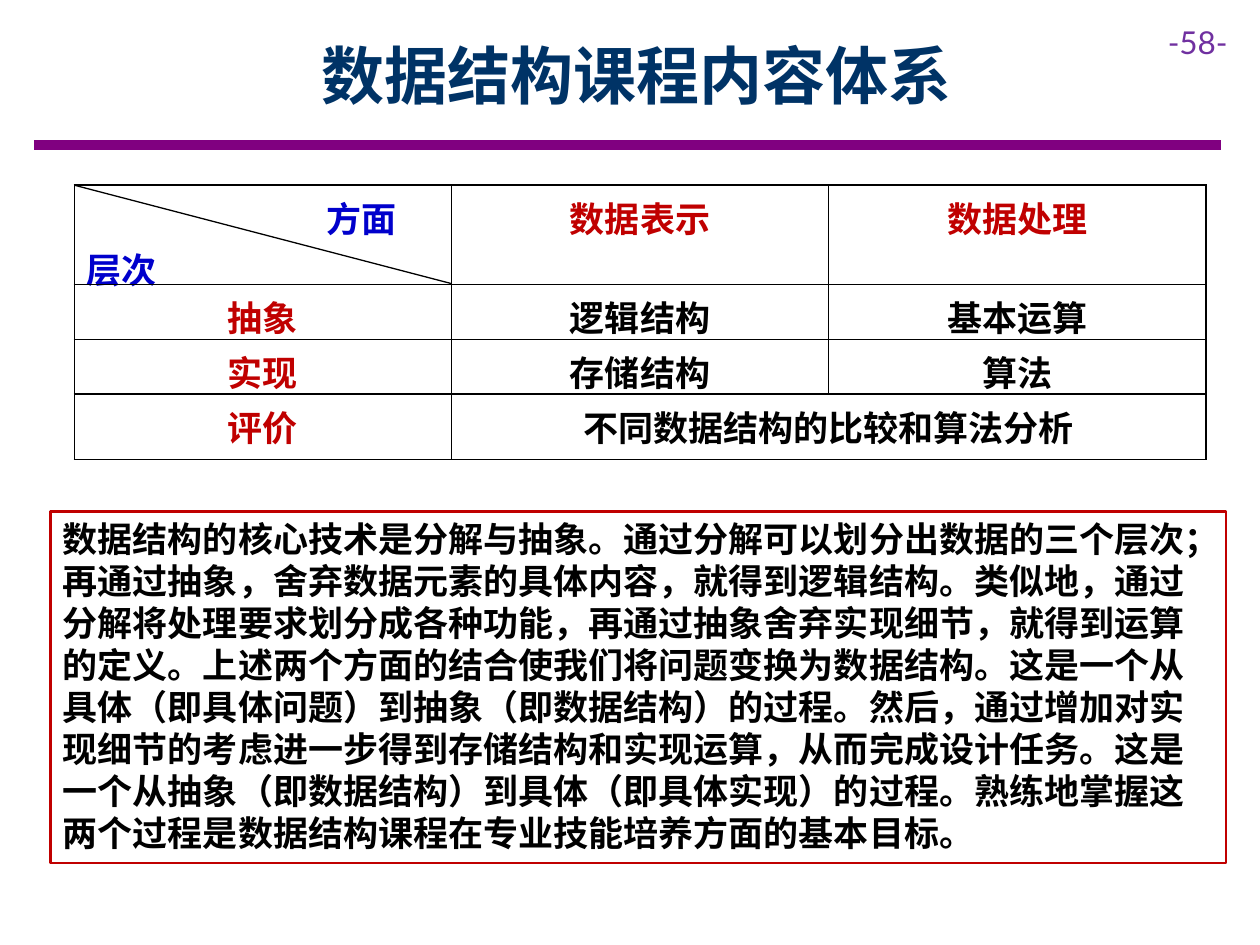
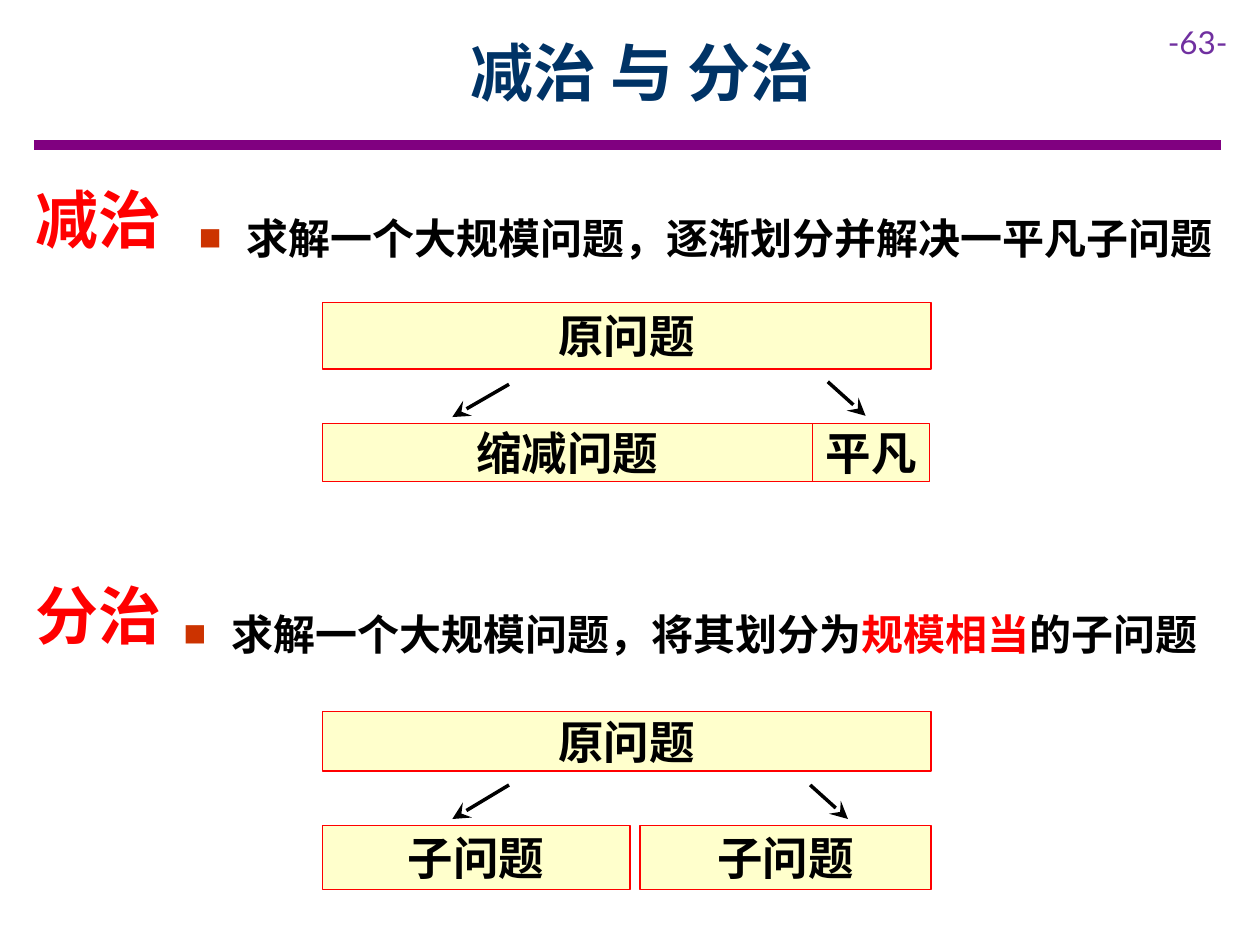
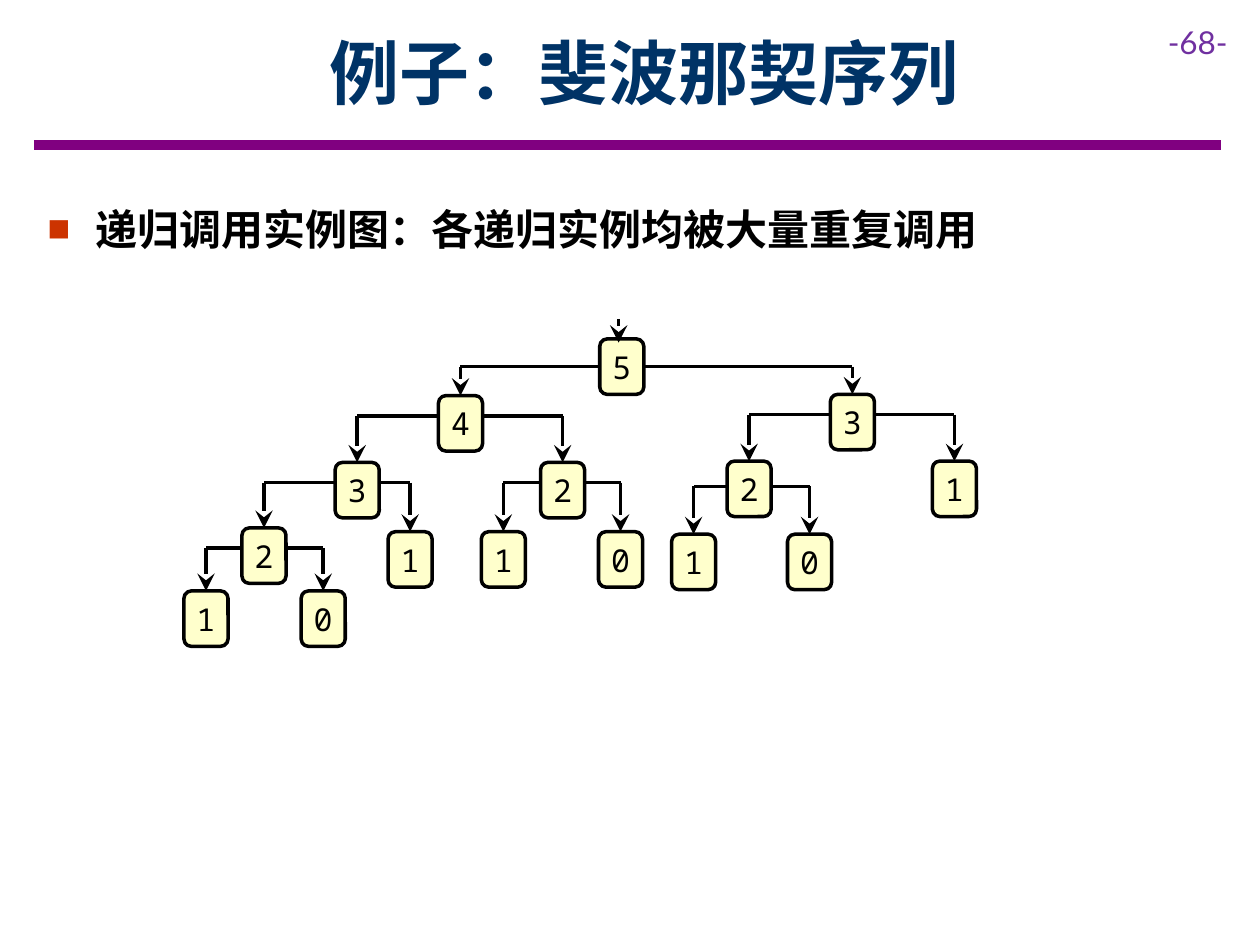
from dataclasses import dataclass, replace
from typing import Optional

from lxml.etree import SubElement
from pptx import Presentation
from pptx.dml.color import RGBColor
from pptx.enum.shapes import MSO_CONNECTOR, MSO_SHAPE
from pptx.enum.text import MSO_ANCHOR, PP_ALIGN
from pptx.oxml.ns import qn
from pptx.oxml.xmlchemy import OxmlElement
from pptx.util import Inches, Pt

BLACK = RGBColor(0x00, 0x00, 0x00)
WHITE = RGBColor(0xFF, 0xFF, 0xFF)
NAVY = RGBColor(0x00, 0x33, 0x66)
BLUE = RGBColor(0x00, 0x00, 0xCC)
PURPLE = RGBColor(0x80, 0x00, 0x80)
VIOLET = RGBColor(0x70, 0x30, 0xA0)
RED = RGBColor(0xFF, 0x00, 0x00)
DARK_RED = RGBColor(0xC0, 0x00, 0x00)
ORANGE = RGBColor(0xCC, 0x33, 0x00)
CREAM = RGBColor(0xFF, 0xFF, 0xCC)

CHINESE, LATIN, MONO = "Noto Sans CJK SC", "Lato", "Noto Sans Mono"
BULLET_INDENT = 0.38
NODE_WIDTH, NODE_HEIGHT = 0.35, 0.44


@dataclass(frozen=True)
class Style:
    """Look of one paragraph."""
    size: int
    color: RGBColor = BLACK
    font: str = CHINESE
    bold: bool = True
    align: PP_ALIGN = PP_ALIGN.LEFT
    indent: float = 0
    bullet: bool = False
    spacing: Optional[float] = None


@dataclass(frozen=True)
class Span:
    """Piece of a paragraph with its own colour."""
    text: str
    color: RGBColor


@dataclass(frozen=True)
class Area:
    """Rectangle on a page, in inches."""
    left: float
    top: float
    width: float
    height: float

    def lengths(self) -> tuple:
        """Return the rectangle as lengths."""
        return tuple(map(Inches, (self.left, self.top, self.width, self.height)))


@dataclass(frozen=True)
class Block:
    """Labelled problem rectangle."""
    label: str
    area: Area


@dataclass(frozen=True)
class Arrow:
    """Straight arrow between two points."""
    start: tuple[float, float]
    end: tuple[float, float]


@dataclass(frozen=True)
class Strategy:
    """One way of splitting a problem, with its diagram."""
    name: str
    name_area: Area
    spans: tuple
    bullet_area: Area
    blocks: tuple[Block, ...]
    arrows: tuple[Arrow, ...]


@dataclass(frozen=True)
class Node:
    """Recursive call and the calls it makes."""
    label: str
    left: float
    top: float
    children: tuple["Node", ...] = ()
    drop: float = 0.16


PAGE_NUMBER = Style(18, VIOLET, LATIN, bold=False)
TITLE = Style(36, NAVY, align=PP_ALIGN.CENTER)
BODY = Style(20)
CELL = Style(20, align=PP_ALIGN.CENTER)
NAME = Style(36, RED)
BULLET = Style(24, bullet=True, spacing=1.1)
PROBLEM = Style(26, align=PP_ALIGN.CENTER)
CALL = Style(18, font=MONO, bold=False, align=PP_ALIGN.CENTER)

LEVELS = (
    ("抽象", "逻辑结构", "基本运算"),
    ("实现", "存储结构", "算法"),
    ("评价", "不同数据结构的比较和算法分析"),
)
SUMMARY = (
    "数据结构的核心技术是分解与抽象。通过分解可以划分出数据的三个层次；"
    "再通过抽象，舍弃数据元素的具体内容，就得到逻辑结构。类似地，通过"
    "分解将处理要求划分成各种功能，再通过抽象舍弃实现细节，就得到运算"
    "的定义。上述两个方面的结合使我们将问题变换为数据结构。这是一个从"
    "具体（即具体问题）到抽象（即数据结构）的过程。然后，通过增加对实"
    "现细节的考虑进一步得到存储结构和实现运算，从而完成设计任务。这是"
    "一个从抽象（即数据结构）到具体（即具体实现）的过程。熟练地掌握这"
    "两个过程是数据结构课程在专业技能培养方面的基本目标。"
)
STRATEGIES = (
    Strategy(
        "减治", Area(0.18, 1.38, 1.3, 0.71),
        (Span("求解一个大规模问题，逐渐划分并解决一平凡子问题", BLACK),),
        Area(1.48, 1.6, 8.26, 0.55),
        (Block("原问题", Area(2.56, 2.4, 4.83, 0.53)),
         Block("缩减问题", Area(2.56, 3.36, 3.89, 0.46)),
         Block("平凡", Area(6.45, 3.36, 0.93, 0.46))),
        (Arrow((6.57, 3.03), (6.87, 3.3)), Arrow((4.04, 3.05), (3.59, 3.31))),
    ),
    Strategy(
        "分治", Area(0.18, 4.53, 1.52, 0.71),
        (Span("求解一个大规模问题，将其划分为", BLACK), Span("规模相当", RED),
         Span("的子问题", BLACK)),
        Area(1.36, 4.74, 8.5, 0.51),
        (Block("原问题", Area(2.56, 5.65, 4.83, 0.47)),
         Block("子问题", Area(2.56, 6.55, 2.44, 0.51)),
         Block("子问题", Area(5.08, 6.55, 2.31, 0.51))),
        (Arrow((6.43, 6.23), (6.73, 6.5)), Arrow((4.04, 6.23), (3.59, 6.5))),
    ),
)
FIBONACCI_CALLS = Node("5", 4.76, 2.69, (
    Node("4", 3.48, 3.14, (
        Node("3", 2.66, 3.67, (
            Node("2", 1.92, 4.19, (Node("1", 1.46, 4.69), Node("0", 2.39, 4.69))),
            Node("1", 3.08, 4.22))),
        Node("2", 4.29, 3.67, (Node("1", 3.82, 4.22), Node("0", 4.75, 4.22))))),
    Node("3", 6.59, 3.13, (
        Node("2", 5.77, 3.66, (Node("1", 5.33, 4.24), Node("0", 6.25, 4.24)), 0.2),
        Node("1", 7.4, 3.66))),
), 0.22)


def write_paragraph(para, content, style: Style) -> None:
    """Fill a paragraph with a string or with spans."""
    properties = para._p.get_or_add_pPr()
    if style.bullet:
        properties.set("marL", str(Inches(BULLET_INDENT)))
        properties.set("indent", str(-Inches(BULLET_INDENT)))
        color = SubElement(properties, qn("a:buClr"))
        SubElement(color, qn("a:srgbClr"), val=str(ORANGE))
        SubElement(properties, qn("a:buSzPct"), val="90000")
        SubElement(properties, qn("a:buFont"), typeface=MONO)
        SubElement(properties, qn("a:buChar"), char="■")
    elif style.indent:
        properties.set("marL", str(Inches(style.indent)))
    para.alignment = style.align
    if style.spacing:
        para.line_spacing = style.spacing
    font = para.font
    font.size, font.bold, font.name = Pt(style.size), style.bold, style.font
    font.color.rgb = style.color
    SubElement(font._rPr, qn("a:ea"), typeface=style.font)
    if isinstance(content, str):
        para.add_run().text = content
        return
    for span in content:
        run = para.add_run()
        run.text = span.text
        if span.color != style.color:
            run.font.color.rgb = span.color


def add_text(page, area: Area, content, style: Style, anchor=MSO_ANCHOR.TOP) -> None:
    """Place a wrapping text box."""
    frame = page.shapes.add_textbox(*area.lengths()).text_frame
    frame.word_wrap = True
    frame.vertical_anchor = anchor
    write_paragraph(frame.paragraphs[0], content, style)


def add_box(page, area: Area, text: str, style: Style, fill: RGBColor, line: RGBColor,
            weight: float, kind=MSO_SHAPE.RECTANGLE, anchor=MSO_ANCHOR.MIDDLE,
            wrap: bool = True):
    """Place a filled, outlined shape with text and return it."""
    box = page.shapes.add_shape(kind, *area.lengths())
    box.shadow.inherit = False
    box.fill.solid()
    box.fill.fore_color.rgb = fill
    box.line.color.rgb = line
    box.line.width = Pt(weight)
    box.text_frame.word_wrap = wrap
    box.text_frame.vertical_anchor = anchor
    write_paragraph(box.text_frame.paragraphs[0], text, style)
    return box


def add_line(page, start: tuple[float, float], end: tuple[float, float],
             color: RGBColor = BLACK, weight: float = 2, arrow: bool = False) -> None:
    """Draw a straight line, with an arrowhead at its end if wanted."""
    line = page.shapes.add_connector(
        MSO_CONNECTOR.STRAIGHT, *map(Inches, (*start, *end)))
    line.line.color.rgb = color
    line.line.width = Pt(weight)
    if arrow:
        SubElement(line.line._get_or_add_ln(), qn("a:tailEnd"),
                   type="stealth", w="lg", len="lg")
    SubElement(line._element.spPr, qn("a:effectLst"))


def add_page(deck, number: int, title: str, title_area: Area, style: Style = TITLE):
    """Add a page with its rule, number and title."""
    page = deck.slides.add_slide(deck.slide_layouts[6])
    add_line(page, (0.27, 1.15), (9.69, 1.15), PURPLE, 6)
    add_text(page, Area(9.17, 0.13, 0.83, 0.4), f"-{number}-", PAGE_NUMBER)
    add_text(page, title_area, title, style, MSO_ANCHOR.MIDDLE)
    return page


def format_cell(cell) -> None:
    """Clear a cell's fill and give it black borders."""
    cell.fill.background()
    properties = cell._tc.get_or_add_tcPr()
    for position, side in enumerate(("lnL", "lnR", "lnT", "lnB")):
        border = OxmlElement(f"a:{side}")
        border.set("w", str(Pt(1)))
        fill = SubElement(border, qn("a:solidFill"))
        SubElement(fill, qn("a:srgbClr"), val=str(BLACK))
        properties.insert(position, border)


def add_level_table(page) -> None:
    """Add the table of levels and aspects."""
    heights = (0.79, 0.38, 0.38, 0.52)
    area = Area(0.59, 1.47, 8.98, sum(heights))
    table = page.shapes.add_table(4, 3, *area.lengths()).table
    table.first_row = table.horz_banding = False
    for row, height in zip(table.rows, heights):
        row.height = Inches(height)
    for cell in table.iter_cells():
        format_cell(cell)
    table.cell(3, 1).merge(table.cell(3, 2))

    corner = table.cell(0, 0).text_frame
    write_paragraph(corner.paragraphs[0], "方面", replace(CELL, color=BLUE, indent=1.57))
    write_paragraph(corner.add_paragraph(), "层次", replace(BODY, color=BLUE))
    heading = replace(CELL, color=DARK_RED)
    for column, text in enumerate(("数据表示", "数据处理"), 1):
        write_paragraph(table.cell(0, column).text_frame.paragraphs[0], text, heading)
    for row, texts in enumerate(LEVELS, 1):
        for column, text in enumerate(texts):
            para = table.cell(row, column).text_frame.paragraphs[0]
            write_paragraph(para, text, CELL if column else heading)
    add_line(page, (0.59, 1.47), (3.58, 2.25), weight=0.75)


def add_strategy(page, strategy: Strategy) -> None:
    """Draw a strategy's name, statement and diagram."""
    add_text(page, strategy.name_area, strategy.name, NAME)
    add_text(page, strategy.bullet_area, strategy.spans, BULLET)
    for block in strategy.blocks:
        box = add_box(page, block.area, block.label, PROBLEM, CREAM, RED, 0.75)
        box.text_frame.margin_top = box.text_frame.margin_bottom = Inches(0.1)
    for arrow in strategy.arrows:
        add_line(page, arrow.start, arrow.end, arrow=True)


def add_call_tree(page, node: Node) -> None:
    """Draw a call, its branches and the calls below it."""
    area = Area(node.left, node.top, NODE_WIDTH, NODE_HEIGHT)
    add_box(page, area, node.label, CALL, CREAM, BLACK, 2,
            MSO_SHAPE.ROUNDED_RECTANGLE, wrap=False)
    level = node.top + node.drop
    for child in node.children:
        center = child.left + NODE_WIDTH / 2
        side = node.left if child.left < node.left else node.left + NODE_WIDTH
        add_line(page, (side, level), (center, level))
        add_line(page, (center, level), (center, child.top), arrow=True)
        add_call_tree(page, child)


def build_content_page(deck) -> None:
    """Build the page on the course content."""
    page = add_page(deck, 58, "数据结构课程内容体系", Area(0.9, 0.09, 8.31, 1))
    add_level_table(page)
    add_box(page, Area(0.4, 4.06, 9.33, 2.79), SUMMARY, replace(BODY, spacing=Pt(24)),
            WHITE, DARK_RED, 1.5, anchor=MSO_ANCHOR.TOP)


def build_strategy_page(deck) -> None:
    """Build the page on the two strategies."""
    page = add_page(deck, 63, "减治 与 分治", Area(0.94, 0.07, 8.31, 1))
    for strategy in STRATEGIES:
        add_strategy(page, strategy)


def build_fibonacci_page(deck) -> None:
    """Build the page on the Fibonacci calls."""
    page = add_page(deck, 68, "例子：斐波那契序列", Area(1.76, 0.22, 6.7, 0.7),
                    replace(TITLE, size=40))
    add_text(page, Area(0.28, 1.61, 8.56, 0.46),
             "递归调用实例图：各递归实例均被大量重复调用", replace(BULLET, spacing=0.9))
    add_call_tree(page, FIBONACCI_CALLS)
    add_line(page, (4.91, 2.53), (4.91, 2.72), arrow=True)


def main() -> None:
    """Build and save the deck."""
    deck = Presentation()
    deck.slide_width, deck.slide_height = Inches(10), Inches(7.5)
    build_content_page(deck)
    build_strategy_page(deck)
    build_fibonacci_page(deck)
    deck.save("out.pptx")


if __name__ == "__main__":
    main()
